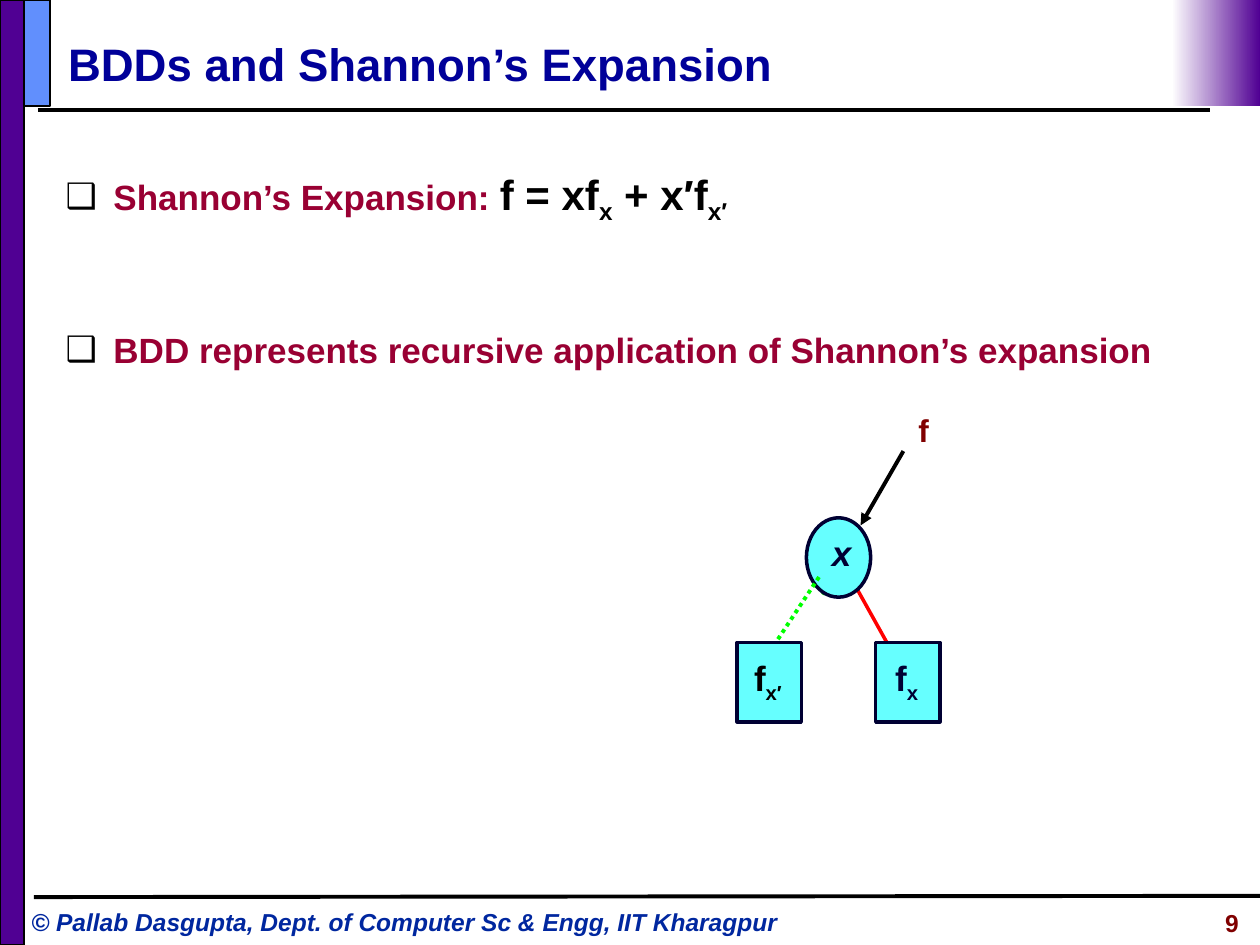
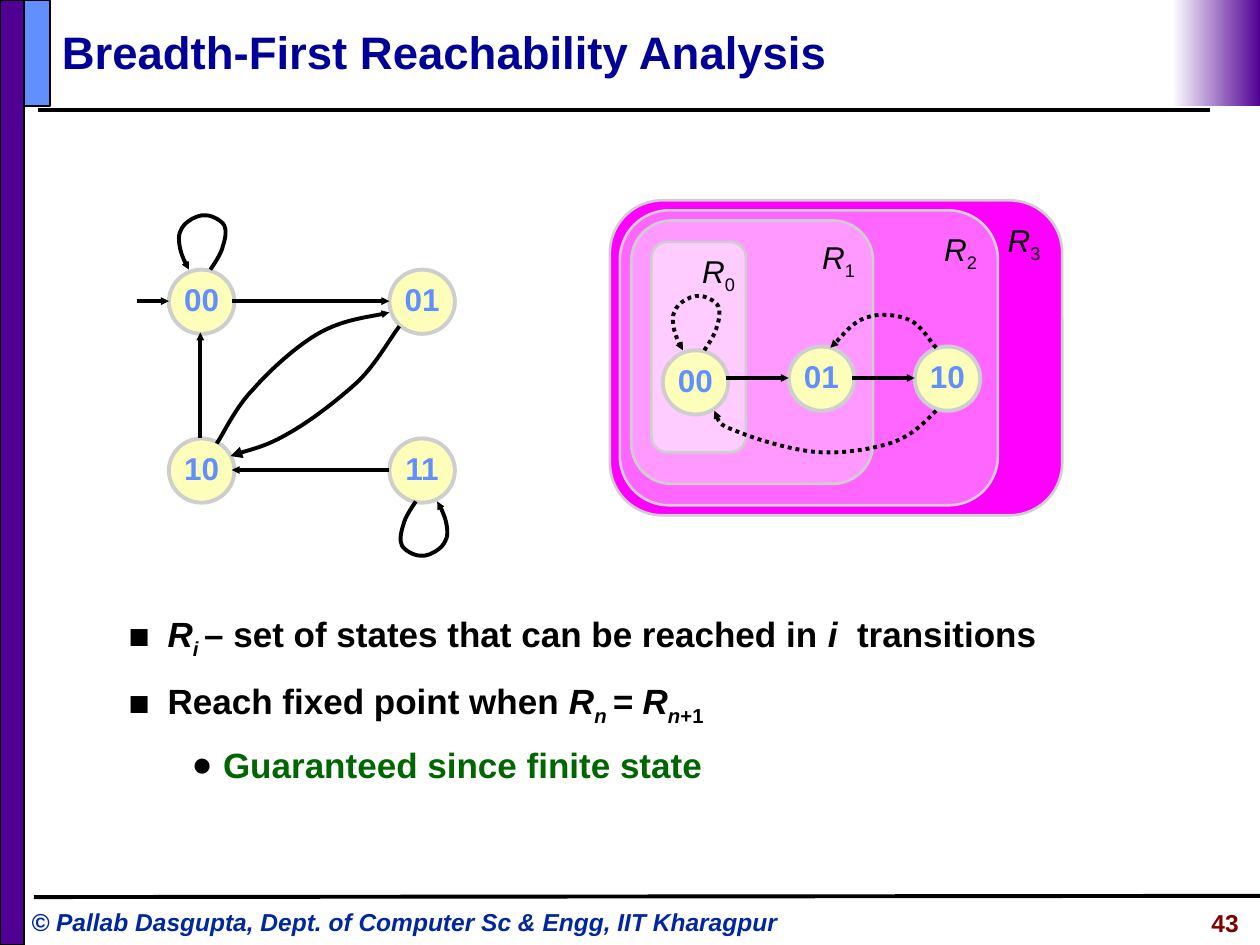
from lxml.etree import SubElement
from pptx import Presentation
from pptx.dml.color import RGBColor
from pptx.enum.dml import MSO_LINE
from pptx.enum.shapes import MSO_CONNECTOR, MSO_SHAPE
from pptx.enum.text import MSO_ANCHOR, MSO_AUTO_SIZE, PP_ALIGN
from pptx.oxml.ns import qn
from pptx.util import Inches, Pt

# Shared look
BLACK, NAVY, MAROON = "000000", "000033", "800000"
PURPLE, BLUE, GREY = "500093", "618FFD", "CECECE"
CYAN, CREAM, WINE = "66FFFF", "FCFEB9", "990033"
FOOTER = "© Pallab Dasgupta, Dept. of Computer Sc & Engg, IIT Kharagpur"

TITLE = dict(size=26, bold=True, color="000099")
BODY = dict(size=20, bold=True, color=BLACK)
FOOT = dict(size=14, bold=True, italic=True, color="00279F")
PAGE = dict(size=14, bold=True, color=MAROON)
STATE = dict(size=18, bold=True, color=BLUE)
LABEL = dict(size=18, color=BLACK)
LEAF = dict(size=20, bold=True, color=NAVY)

IT = dict(italic=True)
SUB = dict(sub=True)
ITSUB = dict(italic=True, sub=True)
RED = dict(color=WINE)
BIG = dict(size=24)
BIGSUB = dict(size=24, sub=True)

# Bullet, level, left margin, hanging indent, line spacing
BOX = dict(char="❑", level=0, left=0.38, hang=0.38, gap=1.25)
SQUARE = dict(char="■", level=1, left=0.81, hang=0.31, gap=1.3)
DOT = dict(char="●", level=2, left=1.25, hang=0.25, gap=1.3)

# Slide 1: list items are (bullet, points before, runs)
BDD = dict(
    title="BDDs and Shannon’s Expansion", page="9",
    head=(0.44, 0.17, 8.17, 0.67), body=(0.42, 1.17, 9.16, 5.43),
    items=[
        (BOX, 0, [("Shannon’s Expansion: ", RED), ("f = xf", BIG), ("x", BIGSUB),
                  (" + x′f", BIG), ("x′", BIGSUB)]),
        (BOX, 53, [("BDD represents recursive application of Shannon’s expansion", RED)]),
    ])
LEAVES = [(5.85, [("f", dict(color=BLACK)), ("x′", dict(color=BLACK, sub=True))]),
          (6.95, [("f", {}), ("x", SUB)])]

# Slide 2
REACH = dict(
    title="Breadth-First Reachability Analysis", page="43",
    head=(0.39, 0.1, 9.1, 0.61), body=(0.42, 4.7, 9.16, 2.26),
    items=[
        (SQUARE, 0, [("R", IT), ("i ", ITSUB), ("– set of states that can be reached in ", {}),
                     ("i ", IT), (" transitions", {})]),
        (SQUARE, 2.5, [("Reach fixed point when ", {}), ("R", IT), ("n ", ITSUB),
                       ("= R", IT), ("n", ITSUB), ("+1", SUB)]),
        (DOT, 2.5, [("Guaranteed since finite state", dict(color="006600"))]),
    ])
STATES = [("00", 1.6, 2.39), ("10", 1.6, 3.73), ("01", 3.35, 2.39), ("11", 3.35, 3.73)]
EDGES = [((1.84, 2.39), (3.09, 2.39)), ((3.09, 3.73), (1.84, 3.73)),
         ((1.59, 3.48), (1.59, 2.64)), ((1.09, 2.39), (1.34, 2.39))]
RINGS = [("3", (4.84, 1.59, 3.59, 2.5), "FF00FF"), ("2", (4.92, 1.67, 3, 2.34), "FF66FF"),
         ("1", (5.01, 1.75, 1.92, 2.09), "FF99FF"), ("0", (5.17, 1.92, 0.75, 1.67), "FFCCFF")]
REACHED = [("00", 5.52, 3.03), ("01", 6.52, 3), ("10", 7.52, 3)]
STEPS = [((5.76, 3), (6.26, 3)), ((6.76, 3), (7.26, 3))]

# Curves: a start point, then three Bezier points for each piece
LOOP = [(0.07, 0), (0.09, -0.03), (0.16, -0.13), (0.17, -0.19),
        (0.19, -0.25), (0.2, -0.31), (0.18, -0.35),
        (0.16, -0.39), (0.08, -0.43), (0.04, -0.43),
        (-0.01, -0.44), (-0.07, -0.41), (-0.11, -0.38),
        (-0.14, -0.36), (-0.18, -0.31), (-0.18, -0.25),
        (-0.18, -0.18), (-0.15, -0.08), (-0.1, 0)]
RISE = [(1.72, 3.52), (1.77, 3.45), (1.87, 3.23), (2.01, 3.09),
        (2.14, 2.94), (2.36, 2.74), (2.54, 2.64), (2.72, 2.54), (2.97, 2.51), (3.09, 2.48)]
FALL = [(3.17, 2.59), (3.1, 2.68), (2.99, 2.88), (2.85, 3.02),
        (2.7, 3.16), (2.47, 3.34), (2.29, 3.44), (2.12, 3.54), (1.91, 3.59), (1.83, 3.62)]
HOP = [(7.43, 2.76), (7.39, 2.72), (7.31, 2.58), (7.22, 2.54),
       (7.13, 2.5), (6.98, 2.48), (6.88, 2.52), (6.77, 2.55), (6.65, 2.71), (6.59, 2.76)]
BACK = [(7.43, 3.26), (7.34, 3.35), (7.25, 3.45), (7.09, 3.51),
        (6.94, 3.56), (6.72, 3.6), (6.51, 3.59), (6.3, 3.58), (5.98, 3.48), (5.84, 3.42),
        (5.7, 3.37), (5.69, 3.31), (5.67, 3.26)]


def rgb(code):
    return RGBColor.from_string(code)


def write(para, runs, look):
    """Add runs of (text, changes) on top of a base look."""
    for text, change in runs:
        run = para.add_run()
        run.text = text
        style = {"name": "Arial", **look, **change}
        run.font.color.rgb = rgb(style.pop("color"))
        if style.pop("sub", False):
            run._r.get_or_add_rPr().set("baseline", "-25000")
        style["size"] = Pt(style["size"])
        for key, value in style.items():
            setattr(run.font, key, value)


def setup(frame, pad, anchor, wrap=True):
    frame.word_wrap = wrap
    frame.auto_size = MSO_AUTO_SIZE.NONE
    frame.vertical_anchor = anchor
    for side, inset in zip(("left", "top", "right", "bottom"), pad):
        setattr(frame, "margin_" + side, Inches(inset))


def label(slide, box, runs, look, align=PP_ALIGN.LEFT):
    frame = slide.shapes.add_textbox(*map(Inches, box)).text_frame
    setup(frame, (0.1, 0.05, 0.1, 0.05), MSO_ANCHOR.TOP)
    frame.paragraphs[0].alignment = align
    write(frame.paragraphs[0], runs, look)


def shape(slide, kind, box, fill, edge=BLACK, width=1.0):
    item = slide.shapes.add_shape(kind, *map(Inches, box))
    item.shadow.inherit = False
    item.fill.solid()
    item.fill.fore_color.rgb = rgb(fill)
    item.line.color.rgb = rgb(edge)
    item.line.width = Pt(width)
    return item


def fill_text(item, runs, look, pad=(0.05,) * 4, align=PP_ALIGN.CENTER,
              anchor=MSO_ANCHOR.MIDDLE, gap=0.9, wrap=False):
    setup(item.text_frame, pad, anchor, wrap)
    para = item.text_frame.paragraphs[0]
    para.alignment, para.line_spacing = align, gap
    write(para, runs, look)


def stroke(item, color=BLACK, width=2.25, dots=False, arrow=None):
    """Style a line; arrow is the size of the head at its end."""
    item.line.color.rgb = rgb(color)
    item.line.width = Pt(width)
    if dots:
        item.line.dash_style = MSO_LINE.ROUND_DOT
    if arrow:
        SubElement(item._element.spPr.find(qn("a:ln")), qn("a:tailEnd"),
                   type="triangle", w=arrow, len=arrow)


def line(slide, start, end, **look):
    item = slide.shapes.add_connector(MSO_CONNECTOR.STRAIGHT, *map(Inches, start + end))
    stroke(item, **look)
    SubElement(item._element.spPr, qn("a:effectLst"))


def curve(slide, knots, arrow="sm", **look):
    """Draw joined cubic Bezier pieces as one open outline."""
    pen = slide.shapes.build_freeform(*map(Inches, knots[0]))
    pen.add_line_segments([tuple(map(Inches, knot)) for knot in knots[1:]], close=False)
    item = pen.convert_to_shape()
    legs = list(item._element.iter(qn("a:lnTo")))
    outline = legs[0].getparent()
    for i in range(0, len(legs), 3):
        bend = SubElement(outline, qn("a:cubicBezTo"))
        for leg in legs[i:i + 3]:
            bend.append(leg[0])
            outline.remove(leg)
    item.shadow.inherit = False
    item.fill.background()
    stroke(item, arrow=arrow, **look)


def loop(slide, x, y, turn=1, **look):
    curve(slide, [(x + turn * dx, y + turn * dy) for dx, dy in LOOP], **look)


def state(slide, name, x, y):
    item = shape(slide, MSO_SHAPE.OVAL, (x - 0.26, y - 0.25, 0.52, 0.51), CREAM, GREY, 2.25)
    fill_text(item, [(name, {})], STATE)


def place(holder, box, anchor):
    holder.left, holder.top, holder.width, holder.height = map(Inches, box)
    setup(holder.text_frame, (0.1, 0.05, 0.1, 0.05), anchor)
    return holder.text_frame


def bullet(para, char, level, left, hang, gap):
    para.level = level
    props = para._p.get_or_add_pPr()
    props.set("marL", str(Inches(left)))
    props.set("indent", str(-Inches(hang)))
    SubElement(SubElement(props, qn("a:buClr")), qn("a:srgbClr"), val=BLACK)
    SubElement(props, qn("a:buFont"), typeface="Arial")
    SubElement(props, qn("a:buChar"), char=char)
    para.line_spacing = gap


def start(deck, data):
    """Add a slide with its bands, footer, title and list."""
    slide = deck.slides.add_slide(deck.slide_layouts[1])
    line(slide, (0.3, 0.87), (9.6, 0.87))
    label(slide, (0.15, 7.15, 6.37, 0.34), [(FOOTER, {})], FOOT)
    shape(slide, MSO_SHAPE.RECTANGLE, (0, 0, 0.19, 7.5), PURPLE)
    line(slide, (0.27, 7.12), (10, 7.11))
    shape(slide, MSO_SHAPE.RECTANGLE, (0.19, 0, 0.21, 0.84), BLUE)
    fade = shape(slide, MSO_SHAPE.RECTANGLE, (9.3, 0, 0.7, 0.84), PURPLE)
    fade.line.fill.background()
    fade.fill.gradient()
    fade.fill.gradient_angle = 180
    for stop, color in zip(fade.fill.gradient_stops, (PURPLE, "FFFFFF")):
        stop.color.rgb = rgb(color)
    label(slide, (8.18, 7.16, 1.75, 0.34), [(data["page"], {})], PAGE, PP_ALIGN.RIGHT)

    head = place(slide.shapes.title, data["head"], MSO_ANCHOR.MIDDLE).paragraphs[0]
    head.alignment = PP_ALIGN.LEFT
    write(head, [(data["title"], {})], TITLE)
    body = place(slide.placeholders[1], data["body"], MSO_ANCHOR.TOP)
    for i, (mark, before, runs) in enumerate(data["items"]):
        para = body.add_paragraph() if i else body.paragraphs[0]
        bullet(para, **mark)
        para.space_before = Pt(before)
        write(para, runs, BODY)
    return slide


def draw_bdd(slide):
    line(slide, (6.66, 4.42), (7.24, 5.46), color="FF0000", width=2)
    line(slide, (6.65, 4.51), (6.53, 4.72), color="00CC00", width=2)
    for left, runs in LEAVES:
        leaf = shape(slide, MSO_SHAPE.RECTANGLE, (left, 5.1, 0.51, 0.63), CYAN, NAVY, 2)
        fill_text(leaf, runs, LEAF, pad=(0, 0, 0.02, 0.03), gap=1.0)
    node = shape(slide, MSO_SHAPE.OVAL, (6.4, 4.11, 0.51, 0.63), CYAN, NAVY, 2)
    fill_text(node, [("x", IT)], LEAF, pad=(0.05, 0, 0, 0.08), gap=1.0)
    line(slide, (7.17, 3.58), (6.83, 4.17), arrow="med")
    label(slide, (7.19, 3.21, 0.28, 0.4), [("f", {})], dict(LABEL, bold=True, color=MAROON),
          PP_ALIGN.CENTER)
    line(slide, (6.5, 4.58), (6.17, 5.08), color="00FF00", dots=True)


def draw_graph(slide):
    for spot in STATES:
        state(slide, *spot)
    loop(slide, 1.6, 2.14)
    loop(slide, 3.37, 3.98, turn=-1)
    curve(slide, RISE)
    curve(slide, FALL, arrow="med")
    for tail, tip in EDGES:
        line(slide, tail, tip, arrow="sm")


def draw_rings(slide):
    for name, box, fill in RINGS:
        ring = shape(slide, MSO_SHAPE.ROUNDED_RECTANGLE, box, fill, GREY, 1.5)
        ring.adjustments[0] = 0.167
        fill_text(ring, [("R", IT), (name, SUB)], LABEL, align=PP_ALIGN.RIGHT,
                  anchor=MSO_ANCHOR.TOP, wrap=True)
    for spot in REACHED:
        state(slide, *spot)
    loop(slide, 5.52, 2.78, dots=True)
    for bend in (HOP, BACK):
        curve(slide, bend, dots=True)
    for tail, tip in STEPS:
        line(slide, tail, tip, arrow="sm")


def main():
    deck = Presentation()
    deck.slide_width, deck.slide_height = Inches(10), Inches(7.5)
    draw_bdd(start(deck, BDD))
    slide = start(deck, REACH)
    draw_graph(slide)
    draw_rings(slide)
    deck.save("out.pptx")


if __name__ == "__main__":
    main()
